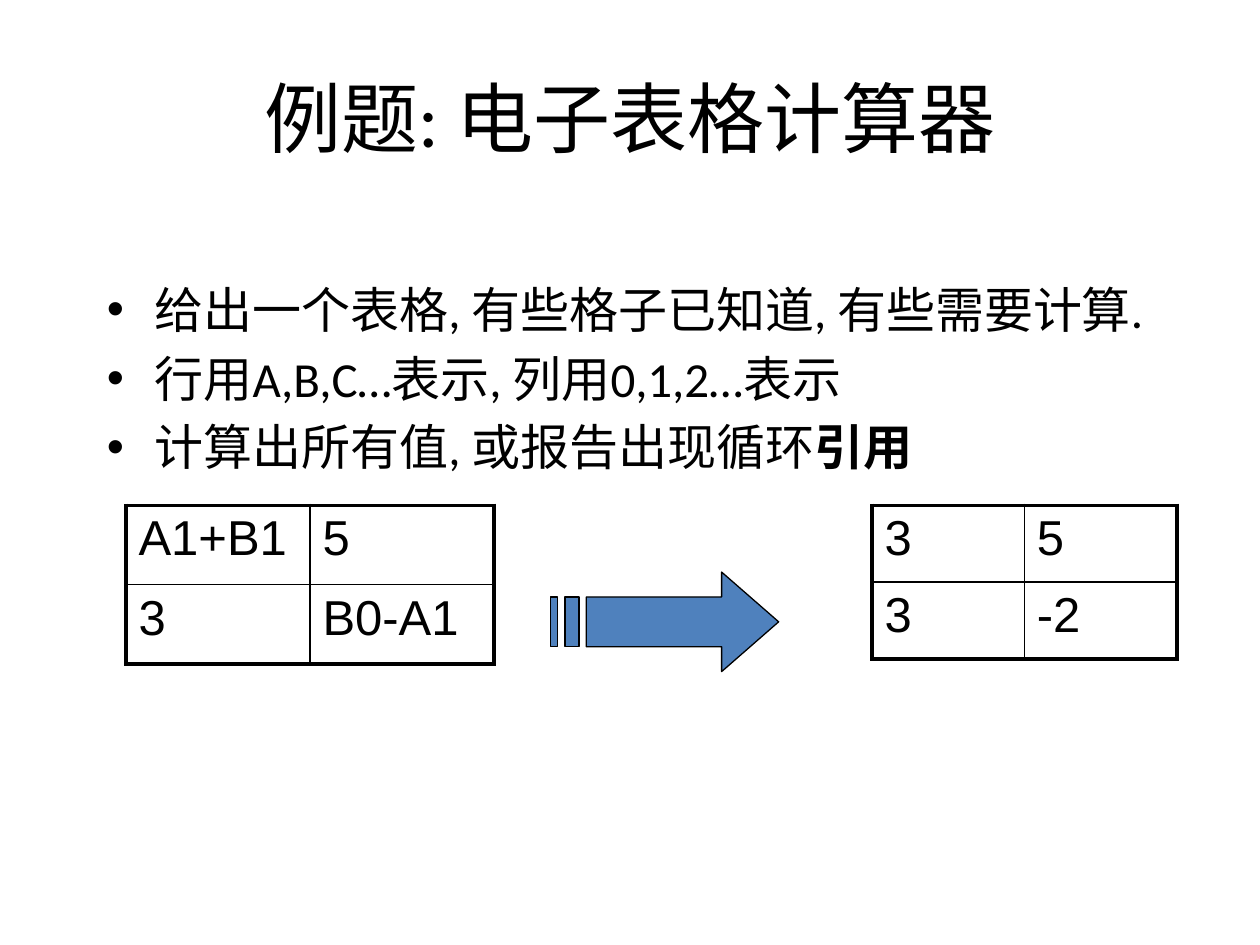
from lxml import etree
from pptx import Presentation
from pptx.dml.color import RGBColor
from pptx.enum.text import MSO_ANCHOR, PP_ALIGN
from pptx.oxml.ns import qn
from pptx.util import Inches, Pt

BLACK = RGBColor(0x00, 0x00, 0x00)
BLUE = RGBColor(0x4F, 0x81, 0xBD)

prs = Presentation()
prs.slide_width, prs.slide_height = Inches(10), Inches(7.5)
slide = prs.slides.add_slide(prs.slide_layouts[6])


def add_run(paragraph, text, size, font="Calibri", bold=False):
    run = paragraph.add_run()
    run.text = text
    run.font.size, run.font.name, run.font.bold = Pt(size), font, bold
    run.font.color.rgb = BLACK


def space_before(paragraph, percent=20):
    spacing = etree.SubElement(paragraph._p.get_or_add_pPr(), qn("a:spcBef"))
    etree.SubElement(spacing, qn("a:spcPct"), val=str(percent * 1000))


# Title
title = slide.shapes.add_textbox(Inches(0.5), Inches(0.3), Inches(9), Inches(1.25)).text_frame
title.word_wrap = True
title.vertical_anchor = MSO_ANCHOR.MIDDLE
title.paragraphs[0].alignment = PP_ALIGN.CENTER
add_run(title.paragraphs[0], "例题: 电子表格计算器", 44)

# Bulleted rules: plain part, bold part
rules = [
    ("给出一个表格, 有些格子已知道, 有些需要计算.", ""),
    ("行用A,B,C…表示, 列用0,1,2…表示", ""),
    ("计算出所有值, 或报告出现循环", "引用"),
]
body = slide.shapes.add_textbox(Inches(0.75), Inches(2.17), Inches(8.9), Inches(4.5)).text_frame
body.word_wrap = True
for i, (plain, strong) in enumerate(rules):
    paragraph = body.add_paragraph() if i else body.paragraphs[0]
    space_before(paragraph)
    pPr = paragraph._p.get_or_add_pPr()
    pPr.set("marL", str(Inches(0.38)))
    pPr.set("indent", str(-Inches(0.38)))
    etree.SubElement(pPr, qn("a:buFont"), typeface="Arial")
    etree.SubElement(pPr, qn("a:buChar"), char="•")
    add_run(paragraph, plain, 28)
    if strong:
        add_run(paragraph, strong, 28, bold=True)

# Spreadsheets before and after: left, column width, row height, values
sheets = [
    (1, 1.46, 0.63, [["A1+B1", "5"], ["3", "B0-A1"]]),
    (6.92, 1.21, 0.61, [["3", "5"], ["3", "-2"]]),
]
for left, col_width, row_height, values in sheets:
    rows, cols = len(values), len(values[0])
    table = slide.shapes.add_table(rows, cols, Inches(left), Inches(4.01),
                                   Inches(cols * col_width), Inches(rows * row_height)).table
    table.first_row = table.horz_banding = False
    for r, row in enumerate(values):
        for c, value in enumerate(row):
            cell = table.cell(r, c)
            space_before(cell.text_frame.paragraphs[0])
            add_run(cell.text_frame.paragraphs[0], value, 28, "Arial")
            # Thick outer frame, thin inner grid
            outer = {"L": c == 0, "R": c == cols - 1, "T": r == 0, "B": r == rows - 1}
            tcPr = cell._tc.get_or_add_tcPr()
            for side, is_outer in outer.items():
                line = etree.SubElement(tcPr, qn(f"a:ln{side}"), w=str(Pt(2.25 if is_outer else 1)))
                fill = etree.SubElement(line, qn("a:solidFill"))
                etree.SubElement(fill, qn("a:srgbClr"), val=str(BLACK))
            cell.fill.background()

# Striped arrow on a grid of 32 columns and 4 rows
left, top, col, row = Inches(4.37), Inches(4.54), Inches(1.81) / 32, Inches(0.79) / 4
outlines = [
    [(24, 0), (24, 1), (5, 1), (5, 3), (24, 3), (24, 4), (32, 2)],
    [(2, 1), (2, 3), (4, 3), (4, 1)],
    [(0, 1), (0, 3), (1, 3), (1, 1)],
]
contours = [[(round(left + x * col), round(top + y * row)) for x, y in outline]
            for outline in outlines]
builder = slide.shapes.build_freeform(*contours[0][0])
for i, points in enumerate(contours):
    if i:
        builder.move_to(*points[0])
    builder.add_line_segments(points[1:], close=True)
arrow = builder.convert_to_shape()
arrow.shadow.inherit = False
arrow.fill.solid()
arrow.fill.fore_color.rgb = BLUE
arrow.line.color.rgb = BLACK
arrow.line.width = Pt(0.75)

prs.save("out.pptx")
